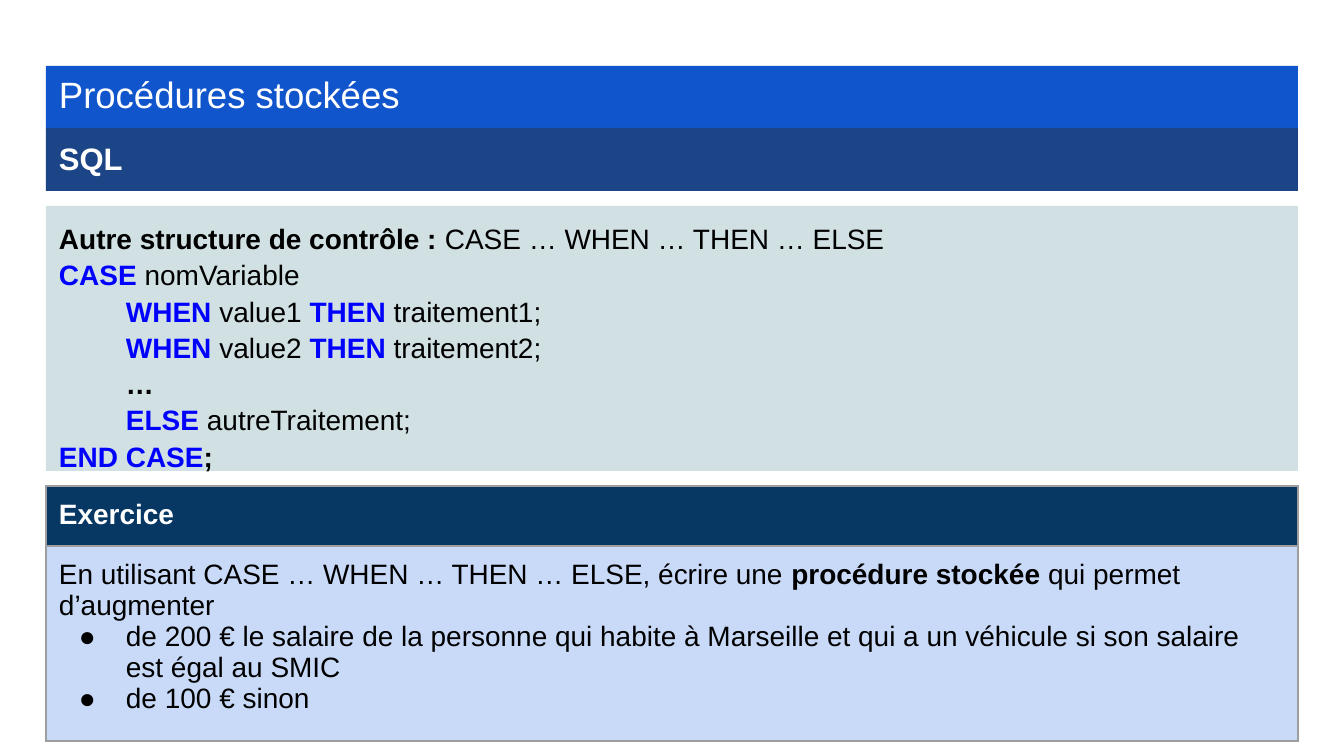
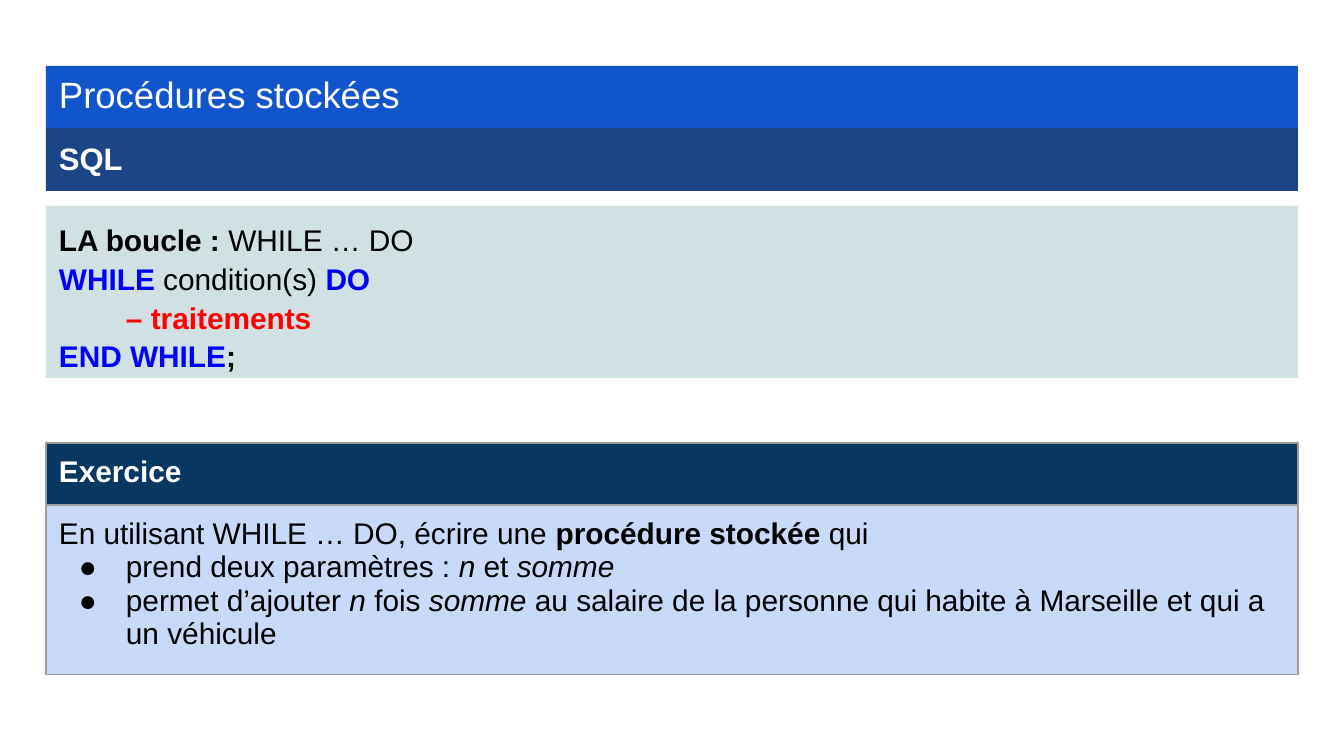
from lxml import etree
from pptx import Presentation
from pptx.dml.color import RGBColor
from pptx.enum.shapes import MSO_SHAPE
from pptx.enum.text import MSO_ANCHOR, PP_ALIGN
from pptx.oxml.ns import qn
from pptx.util import Emu, Pt

RECTANGLE = MSO_SHAPE.RECTANGLE
TOP = MSO_ANCHOR.TOP
MIDDLE = MSO_ANCHOR.MIDDLE
LEFT_ALIGNED = PP_ALIGN.LEFT

EMU_PER_PIXEL = 914400 / 134.4
SLIDE_WIDTH, SLIDE_HEIGHT = 1344, 756
BLANK_LAYOUT = 6
LEFT, WIDTH = 46, 1252
BAND_HEIGHT = 63
TITLE_TOP, SUBTITLE_TOP, CODE_TOP = 66, 128, 206
INSET = 13
INDENT = 67
BULLET_HANG = 47
CODE_SPACING = 1.08
FONT = "Arial"

COLORS = {
    "title": "1155CC",
    "subtitle": "1C4587",
    "code": "D0E0E3",
    "header": "073763",
    "exercise": "C9DAF8",
    "border": "9E9E9E",
    "white": "FFFFFF",
    "black": "000000",
    "keyword": "0000FF",
    "comment": "FF0000",
}

STYLES = {
    "plain": ("black", False, False),
    "bold": ("black", True, False),
    "italic": ("black", False, True),
    "keyword": ("keyword", True, False),
    "comment": ("comment", True, False),
    "heading": ("white", False, False),
    "strong heading": ("white", True, False),
}


def px(pixels):
    return Emu(round(pixels * EMU_PER_PIXEL))


def rgb(name):
    return RGBColor.from_string(COLORS[name])


def add_color(parent, name):
    etree.SubElement(parent, qn("a:srgbClr"), val=COLORS[name])


class Deck:
    def __init__(self):
        self.presentation = Presentation()
        self.presentation.slide_width = px(SLIDE_WIDTH)
        self.presentation.slide_height = px(SLIDE_HEIGHT)
        self.slide = None

    def new_slide(self):
        layout = self.presentation.slide_layouts[BLANK_LAYOUT]
        self.slide = self.presentation.slides.add_slide(layout)
        self.box(TITLE_TOP, BAND_HEIGHT, "title", 19.6,
                 [("", [("Procédures stockées", "heading")])], 0.8, MIDDLE)
        self.box(SUBTITLE_TOP, BAND_HEIGHT, "subtitle", 16.6,
                 [("", [("SQL", "strong heading")])], 0.95, MIDDLE)

    def box(self, top, height, fill, size, lines, spacing, anchor=TOP):
        shape = self.slide.shapes.add_shape(
            RECTANGLE, px(LEFT), px(top), px(WIDTH), px(height))
        shape.shadow.inherit = False
        shape.fill.solid()
        shape.fill.fore_color.rgb = rgb(fill)
        shape.line.fill.background()
        frame = shape.text_frame
        frame.word_wrap = True
        frame.vertical_anchor = anchor
        self.set_margins(frame)
        self.add_lines(frame, lines, size, spacing)

    def code(self, height, size, lines):
        self.box(CODE_TOP, height, "code", size, lines, CODE_SPACING)

    def exercise(self, top, heights, size, lines):
        table = self.slide.shapes.add_table(
            2, 1, px(LEFT), px(top), px(WIDTH), px(sum(heights))).table
        table.first_row = False
        table.horz_banding = False
        header = [("", [("Exercice", "strong heading")])]
        contents = [("header", header), ("exercise", lines)]
        for index, (fill, text) in enumerate(contents):
            table.rows[index].height = px(heights[index])
            cell = table.cell(index, 0)
            self.set_margins(cell)
            self.set_borders(cell)
            cell.fill.solid()
            cell.fill.fore_color.rgb = rgb(fill)
            self.add_lines(cell.text_frame, text, size)

    def set_margins(self, holder):
        holder.margin_left = holder.margin_right = px(INSET)
        holder.margin_top = holder.margin_bottom = px(INSET)

    def set_borders(self, cell):
        properties = cell._tc.get_or_add_tcPr()
        for side in ("L", "R", "T", "B"):
            line = etree.SubElement(
                properties, qn("a:ln" + side), w=str(Pt(0.75)))
            add_color(etree.SubElement(line, qn("a:solidFill")), "border")

    def add_lines(self, frame, lines, size, spacing=1.0):
        for index, (kind, runs) in enumerate(lines):
            paragraph = frame.add_paragraph() if index else frame.paragraphs[0]
            paragraph.alignment = LEFT_ALIGNED
            paragraph.line_spacing = spacing
            self.set_indent(paragraph, kind)
            for text, style in runs:
                color, bold, italic = STYLES[style]
                run = paragraph.add_run()
                run.text = text
                run.font.name = FONT
                run.font.size = Pt(size)
                run.font.bold = bold
                run.font.italic = italic
                run.font.color.rgb = rgb(color)

    def set_indent(self, paragraph, kind):
        properties = paragraph._p.get_or_add_pPr()
        if kind == "indent":
            properties.set("indent", str(px(INDENT)))
        elif kind == "bullet":
            properties.set("marL", str(px(INDENT)))
            properties.set("indent", str(px(-BULLET_HANG)))
            add_color(etree.SubElement(properties, qn("a:buClr")), "black")
            etree.SubElement(properties, qn("a:buFont"), typeface=FONT)
            etree.SubElement(properties, qn("a:buChar"), char="●")


def when_line(number):
    return ("indent", [
        ("WHEN ", "keyword"), (f"value{number} ", "plain"),
        ("THEN ", "keyword"), (f"traitement{number};", "plain")])


def end_line(keyword):
    return ("", [(f"END {keyword}", "keyword"), (";", "bold")])


def task_line(structure, ending):
    return ("", [
        (f"En utilisant {structure}, écrire une ", "plain"),
        ("procédure stockée", "bold"), (ending, "plain")])


def build_case_slide(deck):
    structure = "CASE … WHEN … THEN … ELSE"
    deck.new_slide()
    deck.code(265, 15, [
        ("", [("Autre structure de contrôle : ", "bold"),
              (structure, "plain")]),
        ("", [("CASE ", "keyword"), ("nomVariable", "plain")]),
        when_line(1),
        when_line(2),
        ("indent", [("…", "bold")]),
        ("indent", [("ELSE ", "keyword"), ("autreTraitement;", "plain")]),
        end_line("CASE"),
    ])
    deck.exercise(486, (60, 195), 15, [
        task_line(structure, " qui permet d’augmenter"),
        ("bullet", [("de 200 € le salaire de la personne qui habite à "
                     "Marseille et qui a un véhicule si son salaire est "
                     "égal au SMIC", "plain")]),
        ("bullet", [("de 100 € sinon", "plain")]),
    ])


def build_while_slide(deck):
    structure = "WHILE … DO"
    deck.new_slide()
    deck.code(172, 16, [
        ("", [("LA boucle : ", "bold"), (structure, "plain")]),
        ("", [("WHILE ", "keyword"), ("condition(s) ", "plain"),
              ("DO", "keyword")]),
        ("indent", [("– traitements", "comment")]),
        end_line("WHILE"),
    ])
    deck.exercise(443, (62, 170), 16, [
        task_line(structure, " qui"),
        ("bullet", [("prend deux paramètres : ", "plain"), ("n", "italic"),
                    (" et ", "plain"), ("somme", "italic")]),
        ("bullet", [("permet d’ajouter ", "plain"), ("n", "italic"),
                    (" fois ", "plain"), ("somme", "italic"),
                    (" au salaire de la personne qui habite à Marseille "
                     "et qui a un véhicule", "plain")]),
    ])


deck = Deck()
build_case_slide(deck)
build_while_slide(deck)
deck.presentation.save("out.pptx")
